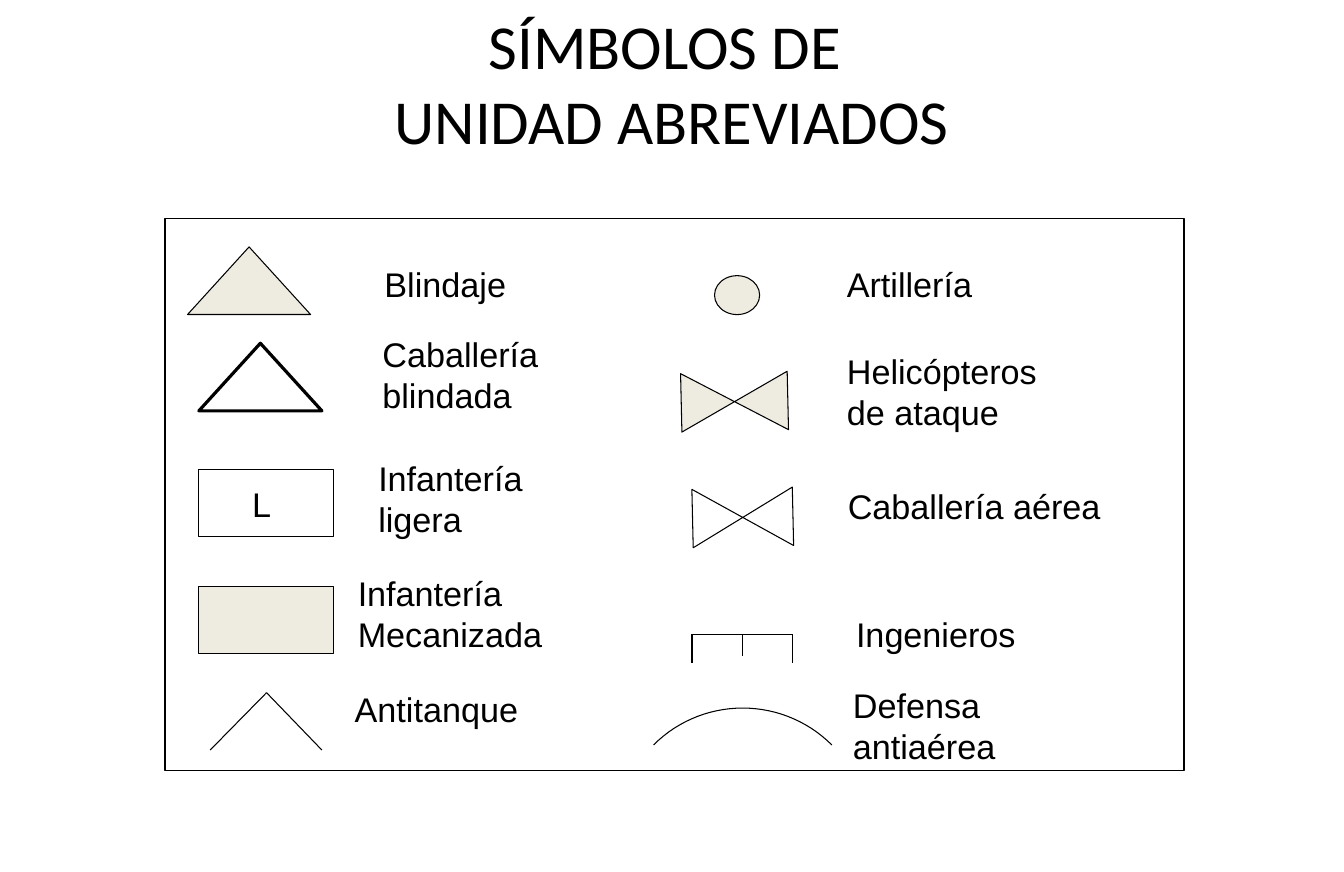
import math
import pptx
import pptx.util
import pptx.dml.color
import pptx.enum.shapes
import pptx.enum.text
import lxml.etree

INK = {"black": "000000", "sand": "EEECE1"}
KIND = pptx.enum.shapes.MSO_SHAPE
ALIGN = pptx.enum.text.PP_ALIGN
CELL = pptx.util.Inches(0.1)
COLS, ROWS = 131.1, 85.1

deck = pptx.Presentation()
deck.slide_width = round(COLS * CELL)
deck.slide_height = round(ROWS * CELL)
slide = deck.slides.add_slide(deck.slide_layouts[5])
shapes = slide.shapes


def write(box, text, size=24, font="Arial", align=ALIGN.LEFT, wrap=False,
          anchor=pptx.enum.text.MSO_ANCHOR.TOP, pad=(1.2, 0.6)):
    frame = box.text_frame
    frame.text = text
    frame.word_wrap = wrap
    frame.vertical_anchor = anchor
    frame.margin_left = frame.margin_right = round(pad[0] * CELL)
    frame.margin_top = frame.margin_bottom = round(pad[1] * CELL)
    for para in frame.paragraphs:
        para.alignment = align
        para.font.size = pptx.util.Pt(size)
        para.font.name = font
        para.font.color.rgb = pptx.dml.color.RGBColor.from_string(INK["black"])


def paint(shape, fill=None, width=0.75):
    shape.shadow.inherit = False
    if fill:
        shape.fill.solid()
        shape.fill.fore_color.rgb = pptx.dml.color.RGBColor.from_string(INK[fill])
    else:
        shape.fill.background()
    shape.line.color.rgb = pptx.dml.color.RGBColor.from_string(INK["black"])
    shape.line.width = pptx.util.Pt(width)


title = shapes.title
title.left, title.top, title.width, title.height = (
    round(n * CELL) for n in (9.8, 0.9, 111.5, 14.2))
write(title, "SÍMBOLOS DE \vUNIDAD ABREVIADOS", size=44, font="Calibri",
      align=ALIGN.CENTER, wrap=True,
      anchor=pptx.enum.text.MSO_ANCHOR.MIDDLE, pad=(1, 0.5))

symbols = [
    (KIND.FLOWCHART_EXTRACT, 18.3, 24.1, 12, 6.6, "sand", 0.75, 0),
    (KIND.FLOWCHART_EXTRACT, 19.4, 33.5, 12, 6.6, None, 2.25, 0),
    (KIND.RECTANGLE, 19.4, 45.8, 13.1, 6.6, None, 0.75, 0),
    (KIND.RECTANGLE, 19.4, 57.2, 13.1, 6.6, "sand", 0.75, 0),
    (KIND.FLOWCHART_COLLATE, 68.8, 34, 5.7, 10.4, "sand", 0.75, 88.7),
    (KIND.FLOWCHART_COLLATE, 69.6, 45.6, 5.7, 9.8, None, 0.75, 88.7),
    (KIND.OVAL, 69.7, 26.9, 4.4, 3.8, "sand", 0.75, 0),
    (KIND.RECTANGLE, 16.1, 21.3, 99.4, 53.9, None, 0.75, 0),
]
for kind, *place, fill, width, turn in symbols:
    shape = shapes.add_shape(kind, *(round(n * CELL) for n in place))
    shape.rotation = turn
    paint(shape, fill, width)

strokes = [
    (26, 67.6, 20.5, 73.2),
    (26, 67.6, 31.4, 73.2),
    (67.5, 61.9, 77.3, 61.9),
    (67.5, 64.7, 67.5, 61.9),
    (72.4, 61.9, 72.4, 64),
    (77.3, 64.7, 77.3, 61.9),
]
for ends in strokes:
    line = shapes.add_connector(pptx.enum.shapes.MSO_CONNECTOR.STRAIGHT,
                                *(round(n * CELL) for n in ends))
    line.line.color.rgb = pptx.dml.color.RGBColor.from_string(INK["black"])
    line.line.width = pptx.util.Pt(0.75)
    lxml.etree.SubElement(line._element.spPr, pptx.oxml.ns.qn("a:effectLst"))

mid, base, span = 72.45, 81.4, 12.3
curve = [(round((mid + span * math.cos(math.radians(a))) * CELL),
          round((base - span * math.sin(math.radians(a))) * CELL))
         for a in range(135, 44, -3)]
pen = shapes.build_freeform(*curve[0])
pen.add_line_segments(curve[1:], close=False)
paint(pen.convert_to_shape())

labels = [
    ("L", 23.4, 46.6, 4.4),
    ("Blindaje", 36.3, 25.1, 14.5),
    ("Caballería\nblindada", 36.1, 31.9, 18.8),
    ("Infantería\nligera", 35.7, 44, 16.7),
    ("Infantería\nMecanizada", 33.7, 55.3, 20.7),
    ("Antitanque", 33.4, 66.6, 18.6),
    ("Artillería", 81.4, 25.1, 14.9),
    ("Helicópteros\nde ataque", 81.4, 33.6, 21.2),
    ("Caballería aérea", 81.5, 46.8, 27.4),
    ("Ingenieros", 82.3, 59.3, 18.2),
    ("Defensa\nantiaérea", 82, 66.2, 16.6),
]
for text, left, top, wide in labels:
    tall = 5.3 + 4 * text.count("\n")
    box = shapes.add_textbox(*(round(n * CELL) for n in (left, top, wide, tall)))
    write(box, text)

deck.save("out.pptx")
